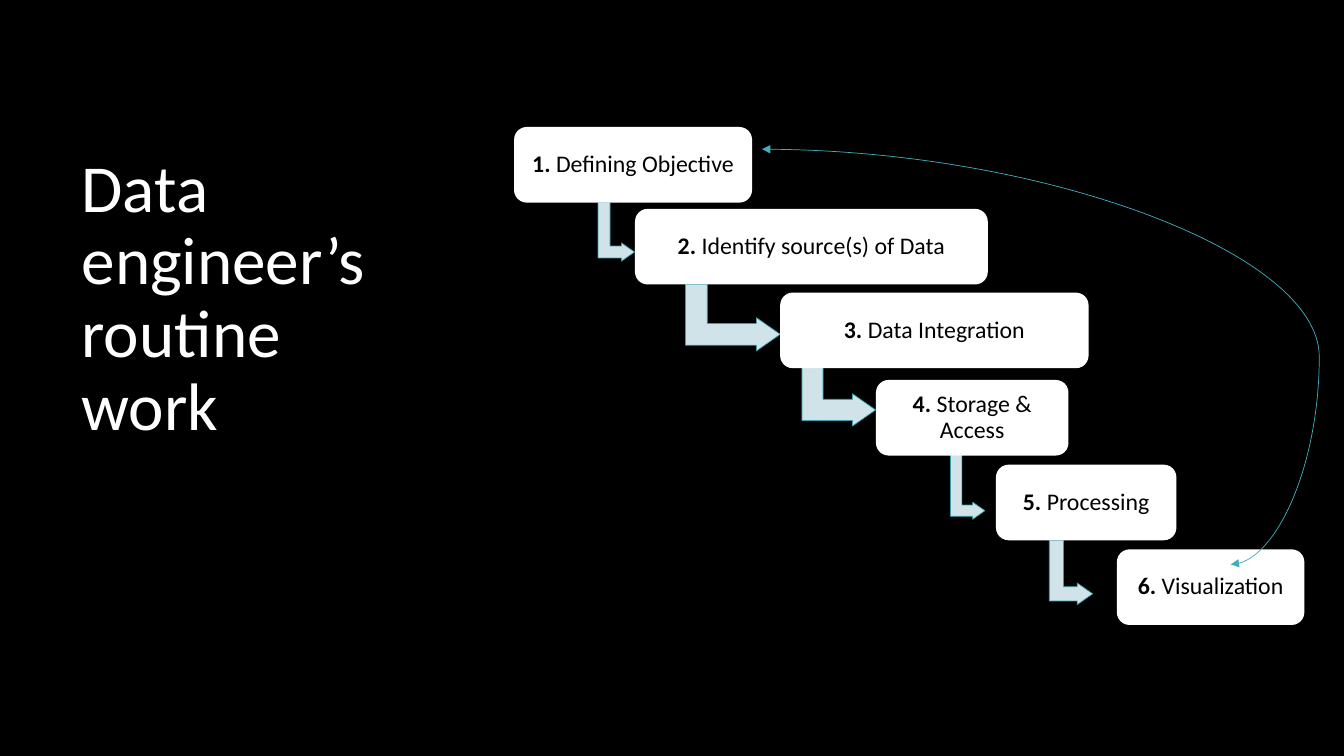
from lxml import etree
from pptx import Presentation
from pptx.dml.color import RGBColor
from pptx.enum.shapes import MSO_CONNECTOR, MSO_SHAPE
from pptx.enum.text import MSO_ANCHOR, MSO_AUTO_SIZE, PP_ALIGN
from pptx.oxml.ns import qn
from pptx.util import Pt

RECT, ROUND = MSO_SHAPE.RECTANGLE, MSO_SHAPE.ROUNDED_RECTANGLE
BENT, CURVE = MSO_SHAPE.BENT_UP_ARROW, MSO_CONNECTOR.CURVE
TOP, MIDDLE = MSO_ANCHOR.TOP, MSO_ANCHOR.MIDDLE
LEFT, CENTER = PP_ALIGN.LEFT, PP_ALIGN.CENTER
NO_FIT = MSO_AUTO_SIZE.NONE

WIDE, HIGH, SPLIT = 960, 540, 320.4
FONT = "Calibri"
HEX = {"black": "000000", "white": "FFFFFF", "pale": "CFE3E8",
       "edge": "3B9EAC", "loop": "41AEBD"}
BOX_H = 54

# Step: label, left, top, width; arrow: offset, lift, width, height
STEPS = [
    ("Defining Objective", 46.8, 90.7, 170, (60, 0, 26, 41.8)),
    ("Identify source(s) of Data", 133.2, 149.2, 252, (36, 0, 67.7, 47.5)),
    ("Data Integration", 236.9, 209, 220.3, (15.5, 4.7, 52.6, 46)),
    ("Storage & Access", 305.3, 271.4, 137.5, (53.3, 0.5, 24.5, 46)),
    ("Processing", 391, 331.9, 128.9, (38.1, 0, 31, 46)),
    ("Visualization", 477.4, 392.4, 133.9, None),
]


def rgb(name):
    return RGBColor.from_string(HEX[name])


def shape(slide, kind, x, y, w, h, fill, line=None):
    item = slide.shapes.add_shape(kind, Pt(x), Pt(y), Pt(w), Pt(h))
    item.shadow.inherit = False
    item.fill.solid()
    item.fill.fore_color.rgb = rgb(fill)
    if line:
        item.line.color.rgb = rgb(line)
        item.line.width = Pt(0.5)
    else:
        item.line.fill.background()
    return item


def write(item, text, lead="", size=17, color="black", align=CENTER,
          anchor=MIDDLE, inset=(5, 5)):
    frame = item.text_frame
    frame.word_wrap = True
    frame.auto_size = NO_FIT
    frame.vertical_anchor = anchor
    frame.margin_left = frame.margin_right = Pt(inset[0])
    frame.margin_top = frame.margin_bottom = Pt(inset[1])
    para = frame.paragraphs[0]
    para.alignment = align
    para.line_spacing = 0.9
    for part, bold in ((lead, True), (text, False)):
        if part:
            run = para.add_run()
            run.text = part
            run.font.name = FONT
            run.font.size = Pt(size)
            run.font.bold = bold
            run.font.color.rgb = rgb(color)


def heading(slide, x, y, w, h):
    shape(slide, RECT, x, y, w, h, "black")
    title = slide.shapes.title
    title.left, title.top = Pt(x + 51.1), Pt(y + 106.6)
    title.width, title.height = Pt(w - 89.3), Pt(350.6)
    write(title, "Data engineer’s routine work", size=48, color="white",
          align=LEFT, anchor=TOP, inset=(7.2, 3.6))
    # Bring the title in front of its panel
    title.element.getparent().append(title.element)


def elbow(slide, x, y, w, h):
    # The shape turns by 90 degrees, so its width and height swap
    item = shape(slide, BENT, x + (w - h) / 2, y + (h - w) / 2, h, w,
                 "pale", "edge")
    item.rotation = 90
    for i, value in enumerate((0.328, 0.25, 0.358)):
        item.adjustments[i] = value


def loop(slide, x, y, w, h):
    curve = slide.shapes.add_connector(
        CURVE, Pt(x + w), Pt(y + h), Pt(x), Pt(y))
    curve.line.color.rgb = rgb("loop")
    curve.line.width = Pt(0.5)
    props = curve.element.spPr
    # Bulge to the right of the start
    guides = props.find(qn("a:prstGeom")).get_or_add_avLst()
    etree.SubElement(guides, qn("a:gd"), name="adj1", fmla="val -18900")
    # Arrowheads at both ends, no shadow
    for end in ("a:headEnd", "a:tailEnd"):
        etree.SubElement(props.find(qn("a:ln")), qn(end), type="triangle")
    etree.SubElement(props, qn("a:effectLst"))


def stairs(slide, x, y, w, h):
    shape(slide, RECT, x, y, w, h, "black")
    for num, (label, dx, dy, wide, arrow) in enumerate(STEPS, 1):
        if arrow:
            shift, lift, aw, ah = arrow
            elbow(slide, x + dx + shift, y + dy + BOX_H - lift, aw, ah)
        box = shape(slide, ROUND, x + dx, y + dy, wide, BOX_H, "white")
        write(box, label, lead=f"{num}. ")
    loop(slide, x + 223.9, y + 106.6, 334.8, 296.6)


def main():
    deck = Presentation()
    deck.slide_width, deck.slide_height = Pt(WIDE), Pt(HIGH)
    slide = deck.slides.add_slide(deck.slide_layouts[5])
    slide.background.fill.solid()
    slide.background.fill.fore_color.rgb = rgb("black")
    heading(slide, 0, 0, SPLIT, HIGH)
    stairs(slide, SPLIT, 0, WIDE - SPLIT, HIGH)
    deck.save("out.pptx")


if __name__ == "__main__":
    main()
